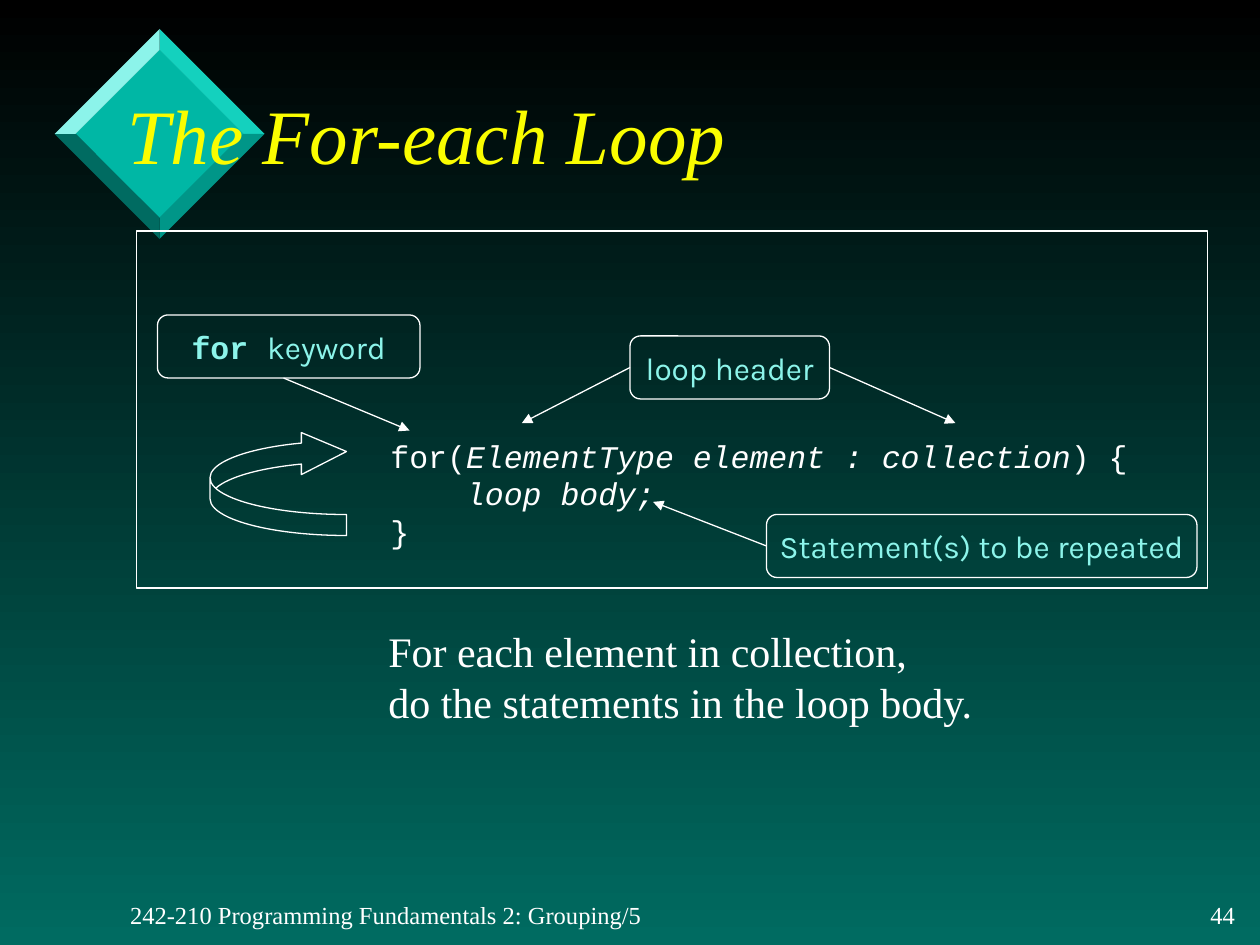
from lxml import etree
from pptx import Presentation
from pptx.dml.color import RGBColor
from pptx.enum.shapes import MSO_CONNECTOR, MSO_SHAPE
from pptx.enum.text import MSO_ANCHOR, PP_ALIGN
from pptx.oxml.ns import qn
from pptx.util import Inches, Pt

STRAIGHT = MSO_CONNECTOR.STRAIGHT
RECTANGLE = MSO_SHAPE.RECTANGLE
ROUNDED = MSO_SHAPE.ROUNDED_RECTANGLE
CURVED_ARROW = MSO_SHAPE.CURVED_LEFT_ARROW
TOP, MIDDLE = MSO_ANCHOR.TOP, MSO_ANCHOR.MIDDLE
LEFT, CENTER, RIGHT = PP_ALIGN.LEFT, PP_ALIGN.CENTER, PP_ALIGN.RIGHT
LEFT_SIDE, RIGHT_SIDE = 1, 3

WIDTH, HEIGHT = 10, 7.5
COLUMNS, ROWS = 120, 90
WHITE, YELLOW, AQUA = "FFFFFF", "FAFD00", "8CF4EA"
SERIF, MONO, SANS = "Times New Roman", "Courier New", "Karla"


def color(value):
    return RGBColor.from_string(value)


class SlideBuilder:
    """Holds the style and the current slide; lengths are grid columns and rows."""

    def __init__(self, page):
        self.page = page
        self.line_color, self.line_width = WHITE, Pt(0.75)

    def x(self, columns):
        return Inches(columns * WIDTH / COLUMNS)

    def y(self, rows):
        return Inches(rows * HEIGHT / ROWS)

    def frame(self, area):
        left, top, width, height = area
        return self.x(left), self.y(top), self.x(width), self.y(height)

    def background(self, start, end):
        fill = self.page.background.fill
        fill.gradient()
        fill.gradient_angle = 270
        for stop, position, value in zip(fill.gradient_stops, (0, 1), (start, end)):
            stop.position = position
            stop.color.rgb = color(value)

    def fill_text(self, box, lines, style, align=LEFT, anchor=TOP, wrap=False, spacing=None):
        """Each line is a list of (text, changes to the style)."""
        content = box.text_frame
        content.word_wrap, content.vertical_anchor = wrap, anchor
        for index, line in enumerate(lines):
            para = content.paragraphs[0] if index == 0 else content.add_paragraph()
            para.alignment = align
            if spacing:
                para.line_spacing = Pt(spacing)
            for text, changes in line:
                span = para.add_run()
                span.text = text
                values = {**style, **changes}
                span.font.color.rgb = color(values.pop("color"))
                for name, value in values.items():
                    setattr(span.font, name, value)

    def text(self, area, lines, style, **layout):
        box = self.page.shapes.add_textbox(*self.frame(area))
        self.fill_text(box, lines, style, **layout)

    def outline(self, kind, area, adjustments=()):
        shape = self.page.shapes.add_shape(kind, *self.frame(area))
        shape.shadow.inherit = False
        shape.fill.background()
        shape.line.color.rgb = color(self.line_color)
        shape.line.width = self.line_width
        for index, value in enumerate(adjustments):
            shape.adjustments[index] = value
        return shape

    def label(self, area, spans):
        box = self.outline(ROUNDED, area)
        style = {"name": SANS, "size": Pt(18), "color": AQUA}
        self.fill_text(box, [spans], style, align=CENTER, anchor=MIDDLE)
        return box

    def arrow(self, end, start=(0, 0), box=None, side=None):
        """Starts at the side of a box when one is given, else at a grid point."""
        line = self.page.shapes.add_connector(
            STRAIGHT, self.x(start[0]), self.y(start[1]), self.x(end[0]), self.y(end[1]))
        if box is not None:
            line.begin_connect(box, side)
        line.line.color.rgb = color(self.line_color)
        line.line.width = self.line_width
        properties = line._element.spPr
        etree.SubElement(properties.find(qn("a:ln")), qn("a:tailEnd"), type="triangle")
        etree.SubElement(properties, qn("a:effectLst"))

    def polygon(self, points, fill):
        corners = [(self.x(column), self.y(row)) for column, row in points]
        builder = self.page.shapes.build_freeform(*corners[0])
        builder.add_line_segments(corners[1:], close=True)
        shape = builder.convert_to_shape()
        shape.shadow.inherit = False
        shape.fill.solid()
        shape.fill.fore_color.rgb = color(fill)
        shape.line.fill.background()

    def diamond(self, center, inner, outer, face, edges):
        """A bevelled diamond; edges run clockwise from the upper right."""
        directions = [(0, -1), (1, 0), (0, 1), (-1, 0)]

        def corners(radius):
            return [(center[0] + radius * dx, center[1] + radius * dy)
                    for dx, dy in directions]

        inside, outside = corners(inner), corners(outer)
        self.polygon(inside, face)
        for index, fill in enumerate(edges):
            after = (index + 1) % 4
            self.polygon([inside[index], outside[index], outside[after], inside[after]], fill)


def main():
    deck = Presentation()
    deck.slide_width, deck.slide_height = Inches(WIDTH), Inches(HEIGHT)
    slide = SlideBuilder(deck.slides.add_slide(deck.slide_layouts[6]))

    # Backdrop and ornament
    slide.background("000000", "006B61")
    slide.diamond((15.2, 12.75), 8, 10, "00B7A5", ["14D1BE", "009688", "006B61", AQUA])

    # Footer and page number
    small = {"name": SERIF, "size": Pt(14), "color": WHITE}
    slide.text((11.2, 85.1, 51.5, 4),
               [[("242-210 Programming Fundamentals 2: Grouping/5", {})]],
               small, anchor=MIDDLE)
    slide.text((113.8, 85.1, 5, 4), [[("44", {})]], small, align=RIGHT, anchor=MIDDLE)

    # Title
    slide.text((11, 5.5, 102, 14.5), [[("The For-each Loop", {})]],
               {"name": SERIF, "size": Pt(44), "color": YELLOW, "italic": True},
               anchor=MIDDLE, wrap=True)

    # Loop syntax
    italic = {"italic": True}
    slide.text((36, 41, 80.3, 12),
               [[("for(", {}), ("ElementType element : collection", italic), (") {", {})],
                [("    ", {}), ("loop body;", italic)],
                [("}", {})]],
               {"name": MONO, "size": Pt(18), "color": WHITE}, wrap=True, spacing=21.6)

    # Meaning of the loop
    slide.text((35.8, 59, 58.6, 11),
               [[("For each element in collection,", {})],
                [("do the statements in the loop body.", {})]],
               {"name": SERIF, "size": Pt(24), "color": WHITE}, spacing=28.8)

    # Labels and their arrows
    header = slide.label((60, 32, 19, 6), [("loop header", {})])
    slide.arrow((49.7, 40.3), box=header, side=LEFT_SIDE)
    slide.arrow((91, 40.3), box=header, side=RIGHT_SIDE)
    slide.label((15, 30, 25, 6), [("for ", {"name": MONO, "bold": True}), ("keyword", {})])
    slide.arrow((39, 41), start=(27, 36))
    body = slide.label((73, 49, 41, 6), [("Statement(s) to be repeated", {})])
    slide.arrow((62.2, 47.8), box=body, side=LEFT_SIDE)

    # Frame and repeat arrow
    slide.outline(RECTANGLE, (13, 22, 102, 34))
    repeat = slide.outline(CURVED_ARROW, (20, 41, 13, 10), (0.2, 0.4, 0.43))
    repeat.rotation = 180

    deck.save("out.pptx")


if __name__ == "__main__":
    main()
